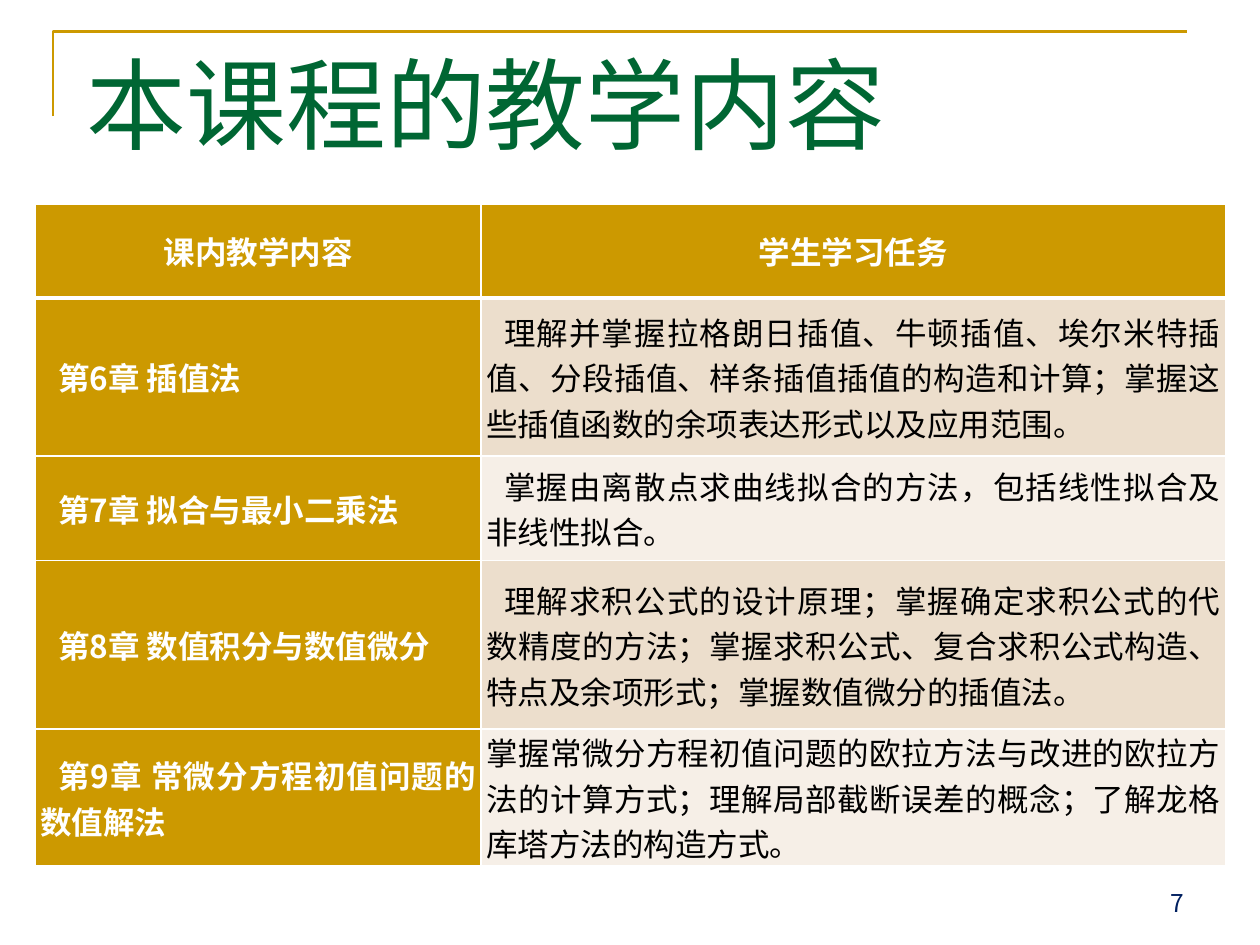
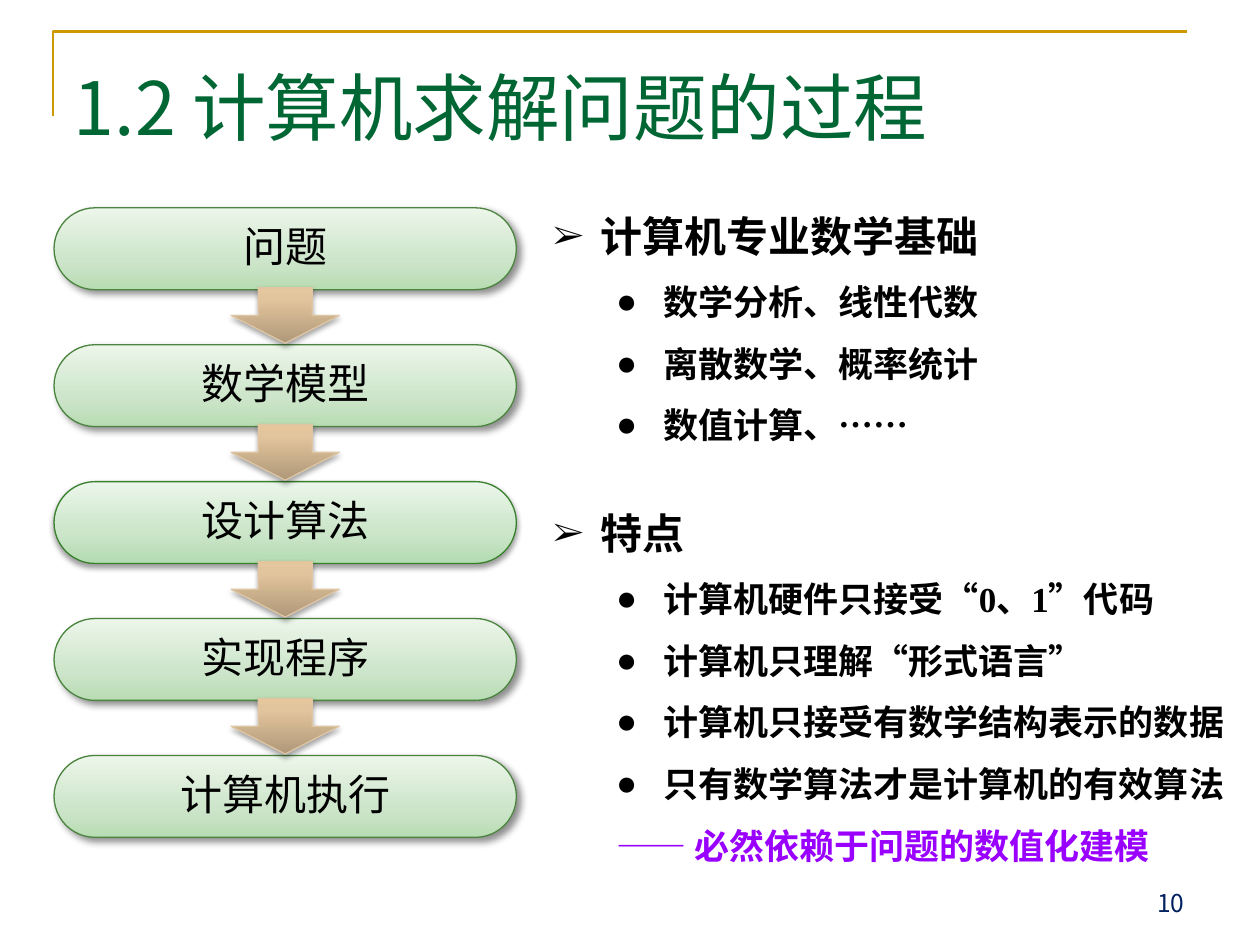
from lxml import etree
from pptx import Presentation
from pptx.dml.color import RGBColor
from pptx.enum.shapes import MSO_SHAPE as Shape
from pptx.enum.text import MSO_ANCHOR as Anchor, PP_ALIGN as Align
from pptx.oxml import parse_xml
from pptx.oxml.ns import nsdecls, qn
from pptx.util import Cm, Pt

SANS, SERIF = "Noto Sans CJK SC", "Times New Roman"
GOLD = RGBColor(0xCC, 0x99, 0x00)
GREEN = RGBColor(0x00, 0x66, 0x33)
NAVY = RGBColor(0x00, 0x20, 0x60)
WHITE = RGBColor(0xFF, 0xFF, 0xFF)
BLACK = RGBColor(0x00, 0x00, 0x00)
PURPLE = RGBColor(0x99, 0x00, 0xFF)
BANDS = RGBColor(0xEC, 0xDE, 0xCC), RGBColor(0xF6, 0xEF, 0xE7)

# line colour, gradient stops, shadow (opacity %, blur pt, distance pt, angle)
STEP_STYLE = (RGBColor(0x4B, 0x84, 0x3F),
              [(0, "B8DCB3"), (35, "CDE5CA"), (100, "ECF6EA")], (43, 4, 3, 45))
KEY_STEP_STYLE = (RGBColor(0x38, 0x80, 0x2C),
                  [(0, "B3DBB0"), (35, "CAE5C8"), (100, "EBF6EA")], (38, 3.1, 1.6, 90))
ARROW_STYLE = (RGBColor(0xDE, 0xC6, 0xA5),
               [(0, "AF9879"), (80, "E3C59D"), (100, "E6C69C")], (35, 3.1, 1.8, 90))


def format_runs(paragraph, name, size, color, bold=False):
    """Format every run; Chinese characters always use the sans typeface."""
    for run in paragraph.runs:
        run.font.name = name
        run.font.size = Pt(size)
        run.font.bold = bold
        run.font.color.rgb = color
        east_asian = etree.Element(qn("a:ea"), typeface=SANS)
        run.font._element.find(qn("a:latin")).addnext(east_asian)


def apply_style(shape, style):
    """Give a shape its outline, upward gradient and shadow."""
    line_color, stops, (opacity, blur, distance, angle) = style
    shape.line.color.rgb = line_color
    shape.line.width = Pt(0.75)
    stop_xml = "".join(f'<a:gs pos="{position * 1000}"><a:srgbClr val="{color}"/></a:gs>'
                       for position, color in stops)
    properties = shape._element.spPr
    properties.find(qn("a:prstGeom")).addnext(parse_xml(
        f'<a:gradFill {nsdecls("a")} rotWithShape="1"><a:gsLst>{stop_xml}</a:gsLst>'
        '<a:lin ang="16200000" scaled="0"/></a:gradFill>'))
    properties.append(parse_xml(
        f'<a:effectLst {nsdecls("a")}><a:outerShdw blurRad="{Pt(blur)}" '
        f'dist="{Pt(distance)}" dir="{angle * 60000}" rotWithShape="0">'
        f'<a:srgbClr val="000000"><a:alpha val="{opacity * 1000}"/></a:srgbClr>'
        '</a:outerShdw></a:effectLst>'))


presentation = Presentation()
presentation.slide_width, presentation.slide_height = Cm(25.4), Cm(19.05)

# Frame, title and page number of both slides
pages = [
    ("本课程的教学内容", 57, (1.5, 0.74, 18.29, 2.34), "7"),
    ("1.2 计算机求解问题的过程", 42, (1.24, 1.12, 22.86, 2.36), "10"),
]
slides = []
for title, title_size, title_box, number in pages:
    slide = presentation.slides.add_slide(presentation.slide_layouts[6])
    slides.append(slide)

    builder = slide.shapes.build_freeform(Cm(1.07), Cm(2.34))
    builder.add_line_segments([(Cm(1.07), Cm(0.64)), (Cm(23.93), Cm(0.64))], close=False)
    frame = builder.convert_to_shape()
    frame.fill.background()
    frame.line.color.rgb = GOLD
    frame.line.width = Pt(1.5)
    frame.shadow.inherit = False

    title_frame = slide.shapes.add_textbox(*map(Cm, title_box)).text_frame
    title_frame.word_wrap = True
    title_frame.text = title
    format_runs(title_frame.paragraphs[0], SANS, title_size, GREEN)

    number_frame = slide.shapes.add_textbox(Cm(18.21), Cm(17.35), Cm(5.92), Cm(1.27)).text_frame
    number_frame.word_wrap = True
    number_frame.vertical_anchor = Anchor.BOTTOM
    number_frame.text = number
    number_frame.paragraphs[0].alignment = Align.RIGHT
    format_runs(number_frame.paragraphs[0], SANS, 14, NAVY)

contents_slide, process_slide = slides

# Course contents
chapters = [
    ("课内教学内容", "学生学习任务"),
    ("第6章 插值法",
     "理解并掌握拉格朗日插值、牛顿插值、埃尔米特插值、分段插值、样条插值插值的构造和计算；"
     "掌握这些插值函数的余项表达形式以及应用范围。"),
    ("第7章 拟合与最小二乘法",
     "掌握由离散点求曲线拟合的方法，包括线性拟合及非线性拟合。"),
    ("第8章 数值积分与数值微分",
     "理解求积公式的设计原理；掌握确定求积公式的代数精度的方法；"
     "掌握求积公式、复合求积公式构造、特点及余项形式；掌握数值微分的插值法。"),
    ("第9章 常微分方程初值问题的数值解法",
     "掌握常微分方程初值问题的欧拉方法与改进的欧拉方法的计算方式；"
     "理解局部截断误差的概念；了解龙格库塔方法的构造方式。"),
]
row_heights = (1.9, 3.18, 2.11, 3.4, 2.76)
table = contents_slide.shapes.add_table(
    len(chapters), 2, Cm(0.71), Cm(4.11), Cm(24), Cm(sum(row_heights))).table
table.first_col = True
for column, width in zip(table.columns, (8.99, 15.01)):
    column.width = Cm(width)
for row, height in zip(table.rows, row_heights):
    row.height = Cm(height)

last_row = len(chapters) - 1
for row_index, texts in enumerate(chapters):
    for column_index, text in enumerate(texts):
        is_header = row_index == 0
        is_task = column_index == 1 and not is_header
        cell = table.cell(row_index, column_index)
        cell.text = text
        cell.vertical_anchor = Anchor.MIDDLE
        cell.margin_left = cell.margin_right = Cm(0.1)
        cell.margin_top = cell.margin_bottom = 0
        # White rules, the one under the header thicker
        for side in ("L", "R", "T", "B"):
            under_header = (row_index, side) in ((0, "B"), (1, "T"))
            cell._tc.get_or_add_tcPr().append(parse_xml(
                f'<a:ln{side} {nsdecls("a")} w="{Pt(3 if under_header else 1)}"><a:solidFill>'
                f'<a:srgbClr val="{WHITE}"/></a:solidFill></a:ln{side}>'))
        cell.fill.solid()
        cell.fill.fore_color.rgb = BANDS[(row_index - 1) % 2] if is_task else GOLD
        paragraph = cell.text_frame.paragraphs[0]
        paragraph.alignment = Align.CENTER if is_header else Align.JUSTIFY
        if not is_header and not (is_task and row_index == last_row):
            paragraph._p.get_or_add_pPr().set("indent", str(Cm(0.36)))
        format_runs(paragraph, SANS, 18, BLACK if is_task else WHITE, bold=not is_task)

# Solving steps
steps = [("问题", STEP_STYLE), ("数学模型", STEP_STYLE), ("设计算法", KEY_STEP_STYLE),
         ("实现程序", STEP_STYLE), ("计算机执行", STEP_STYLE)]
step_tops = [4.19 + 2.76 * index for index in range(len(steps))]
for (label, style), top in zip(steps, step_tops):
    step = process_slide.shapes.add_shape(
        Shape.ROUNDED_RECTANGLE, Cm(1.09), Cm(top), Cm(9.32), Cm(1.65))
    step.adjustments[0] = 0.5
    apply_style(step, style)
    step.text_frame.text = label
    step.text_frame.vertical_anchor = Anchor.MIDDLE
    paragraph = step.text_frame.paragraphs[0]
    paragraph.alignment = Align.CENTER
    paragraph.line_spacing = 0.9
    format_runs(paragraph, SERIF, 24, BLACK)
for top in step_tops[:-1]:
    arrow = process_slide.shapes.add_shape(
        Shape.DOWN_ARROW, Cm(4.66), Cm(top + 1.61), Cm(2.18), Cm(1.12))
    apply_style(arrow, ARROW_STYLE)

# Notes beside the steps
conclusion = "—— 必然依赖于问题的数值化建模"
note_boxes = [
    (3.87, 5.44, ["计算机专业数学基础", "数学分析、线性代数", "离散数学、概率统计",
                  "数值计算、……"]),
    (9.86, 8, ["特点", "计算机硬件只接受“0、1”代码", "计算机只理解“形式语言”",
               "计算机只接受有数学结构表示的数据", "只有数学算法才是计算机的有效算法",
               conclusion]),
]
for top, height, lines in note_boxes:
    text_frame = process_slide.shapes.add_textbox(
        Cm(10.9), Cm(top), Cm(14.2), Cm(height)).text_frame
    text_frame.word_wrap = True
    text_frame.text = "\n".join(lines)
    for index, paragraph in enumerate(text_frame.paragraphs):
        is_heading = index == 0
        is_conclusion = paragraph.text == conclusion
        paragraph.line_spacing = Pt(36 if is_heading else 30)
        if not is_heading:
            paragraph.level = 1
            paragraph.space_before = Pt(5.2)
        properties = paragraph._p.get_or_add_pPr()
        properties.set("marL", str(Cm(0.95 if is_heading else 2.22)))
        properties.set("indent", str(Cm(-0.95)))
        if is_conclusion:
            etree.SubElement(properties, qn("a:buNone"))
        else:
            etree.SubElement(properties, qn("a:buSzPct"), val="80000" if is_heading else "100000")
            etree.SubElement(properties, qn("a:buFont"), typeface=SERIF)
            etree.SubElement(properties, qn("a:buChar"), char="➢" if is_heading else "●")
        format_runs(paragraph, SERIF, 24 if is_heading else 20,
                    PURPLE if is_conclusion else BLACK, bold=True)

presentation.save("out.pptx")
